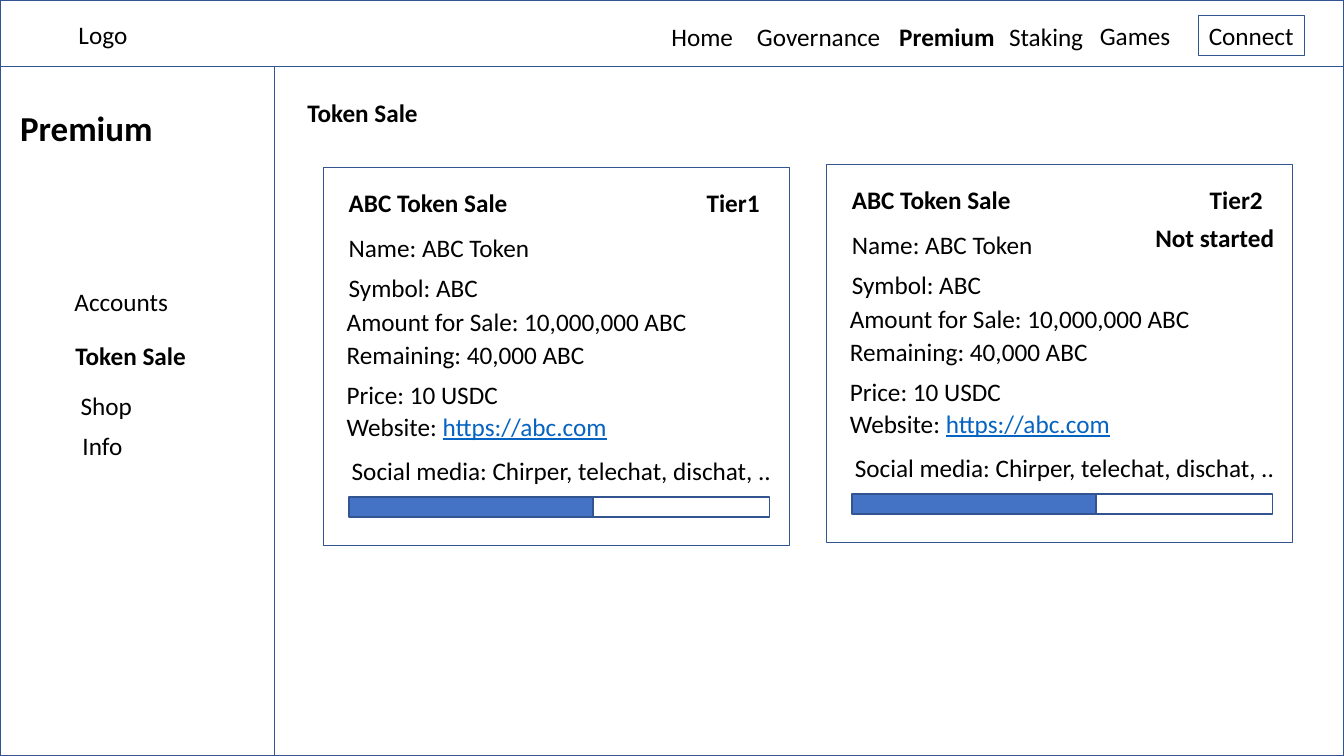
from pptx import Presentation
from pptx.dml.color import RGBColor
from pptx.enum.shapes import MSO_SHAPE as Shape
from pptx.enum.text import MSO_ANCHOR as Anchor, MSO_AUTO_SIZE as AutoSize, PP_ALIGN as Align
from pptx.util import Inches, Pt

COLORS = {"text": "000000", "line": "325491", "bar": "4472C4", "link": "0563C1", "white": "FFFFFF"}
ROW_HEIGHT = 0.4
CARD_SIZE = (4.62, 3.75)
BAR_TOP, BAR_HEIGHT = 3.27, 0.2
BAR_LEFT, SOLD_WIDTH, UNSOLD_WIDTH = 0.25, 2.42, 1.75

NAVIGATION = [
    ("Logo", 0.68, 0.14, 0.69, False),
    ("Home", 6.56, 0.16, 0.82, False),
    ("Governance", 7.41, 0.16, 1.44, False),
    ("Premium", 8.82, 0.16, 1.16, True),
    ("Staking", 9.91, 0.16, 0.94, False),
    ("Games", 10.81, 0.15, 0.91, False),
]
SIDEBAR = [
    ("Accounts", 0.64, 2.79, 1.15, False),
    ("Token Sale", 0.65, 3.33, 1.3, True),
    ("Shop", 0.7, 3.82, 0.72, False),
    ("Info", 0.72, 4.22, 0.6, False),
]
CARD_ROWS = [
    ("ABC Token Sale", 0.15, 0.15, 1.79, True),
    ("Name: ABC Token", 0.15, 0.6, 2.01, False),
    ("Symbol: ABC", 0.15, 0.99, 1.5, False),
    ("Amount for Sale: 10,000,000 ABC", 0.13, 1.33, 3.61, False),
    ("Remaining: 40,000 ABC", 0.13, 1.66, 2.59, False),
    ("Price: 10 USDC", 0.13, 2.05, 1.72, False),
    ("Social media: Chirper, telechat, dischat, ..", 0.18, 2.81, 4.47, False),
]
CARDS = [("Tier1", 3.21, 1.66), ("Tier2", 8.2, 1.63)]


class Wireframe:
    """Draws the outlined panels and labels of the page on one slide."""

    def __init__(self, slide):
        self.slide = slide
        self.font = {"name": "Calibri", "size": Pt(18), "bold": False}

    def panel(self, left, top, width, height, fill=None, weight=1):
        shape = self.slide.shapes.add_shape(Shape.RECTANGLE, *map(Inches, (left, top, width, height)))
        shape.shadow.inherit = False
        if fill:
            shape.fill.solid()
            shape.fill.fore_color.rgb = RGBColor.from_string(COLORS[fill])
        else:
            shape.fill.background()
        shape.line.color.rgb = RGBColor.from_string(COLORS["line"])
        shape.line.width = Pt(weight)
        return shape

    def set_text(self, shape, runs, wrap=False, **changes):
        frame = shape.text_frame
        layout = {"word_wrap": wrap, "auto_size": AutoSize.SHAPE_TO_FIT_TEXT, "vertical_anchor": Anchor.TOP}
        for name, value in layout.items():
            setattr(frame, name, value)
        paragraph = frame.paragraphs[0]
        paragraph.alignment = Align.LEFT
        for text, color in runs:
            run = paragraph.add_run()
            run.text = text
            style = {**self.font, **changes, "underline": color == "link"}
            for name, value in style.items():
                setattr(run.font, name, value)
            run.font.color.rgb = RGBColor.from_string(COLORS[color])

    def text(self, runs, left, top, width, height=ROW_HEIGHT, **changes):
        box = self.slide.shapes.add_textbox(*map(Inches, (left, top, width, height)))
        self.set_text(box, runs, **changes)

    def labels(self, rows, left=0, top=0):
        for words, across, down, width, bold in rows:
            self.text([(words, "text")], left + across, top + down, width, bold=bold)

    def button(self, words, left, top, width):
        shape = self.panel(left, top, width, ROW_HEIGHT, "white", 0.75)
        self.set_text(shape, [(words, "text")])

    def card(self, tier, left, top):
        self.panel(left, top, *CARD_SIZE)
        bar_left, bar_top = left + BAR_LEFT, top + BAR_TOP
        self.panel(bar_left, bar_top, SOLD_WIDTH, BAR_HEIGHT, "bar")
        self.panel(bar_left + SOLD_WIDTH, bar_top, UNSOLD_WIDTH, BAR_HEIGHT)
        self.labels(CARD_ROWS + [(tier, 3.7, 0.15, 0.73, True)], left, top)
        website = [("Website: ", "text"), ("https://abc.com", "link")]
        self.text(website, left + 0.13, top + 2.37, 2.82)


def main():
    presentation = Presentation()
    presentation.slide_width, presentation.slide_height = Inches(13.33), Inches(7.5)
    page = Wireframe(presentation.slides.add_slide(presentation.slide_layouts[6]))

    page.panel(0, 0, 13.33, 7.5)
    page.panel(0, 0, 13.33, 0.66)
    page.labels(NAVIGATION)
    page.button("Connect", 11.89, 0.15, 1.05)

    page.panel(0, 0.66, 2.72, 6.84)
    page.text([("Premium", "text")], 0.1, 1.01, 2.05, 0.52, wrap=True, size=Pt(25), bold=True)
    page.labels(SIDEBAR)

    page.labels([("Token Sale", 2.95, 0.92, 1.3, True)])
    for tier, left, top in CARDS:
        page.card(tier, left, top)
    page.labels([("Not started", 11.36, 2.16, 1.39, True)])

    presentation.save("out.pptx")


if __name__ == "__main__":
    main()
